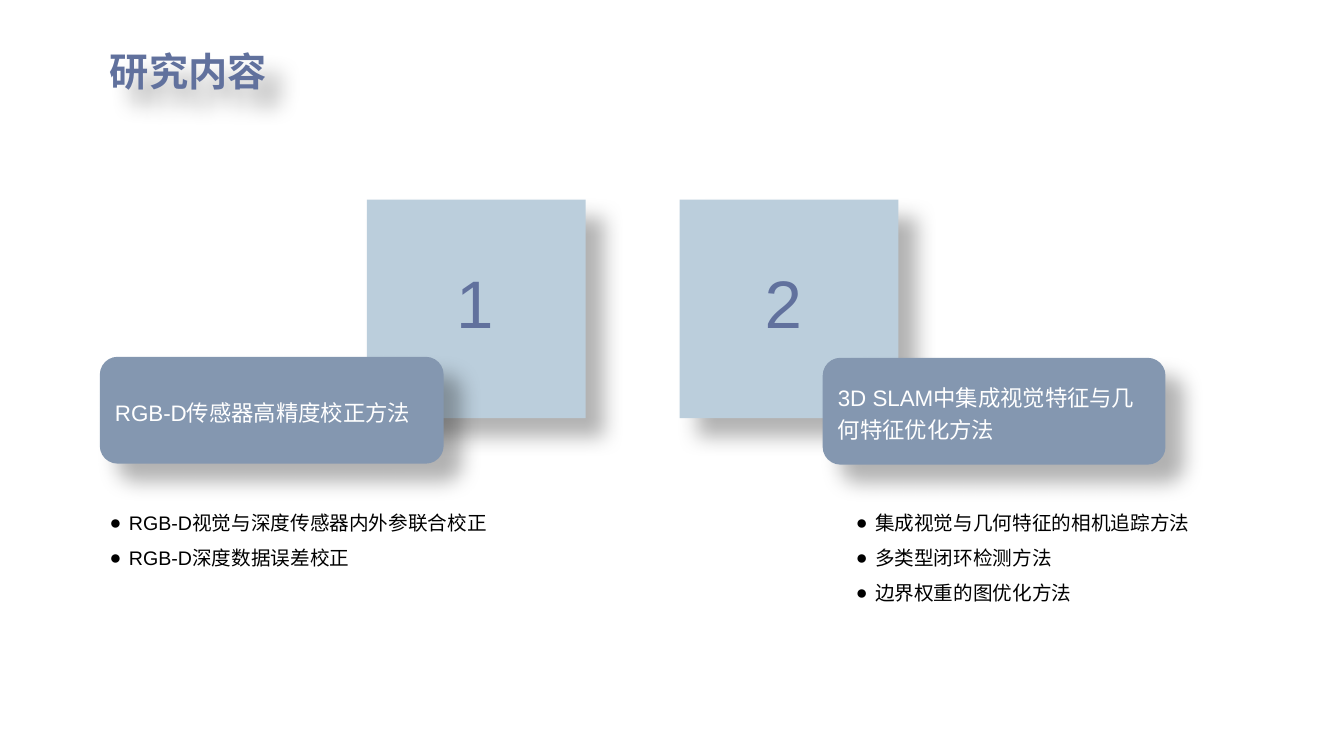
import lxml.etree
import pptx
import pptx.dml.color
import pptx.enum.shapes
import pptx.enum.text
import pptx.oxml.ns
import pptx.util

PX = 9144
THEME = {
    "font": "Arial",
    "title": (28, "61719D"),
    "number": (48, "61719D"),
    "label": (16, "FFFFFF"),
    "body": (14, "000000"),
    "square": "BBCEDC",
    "banner": "8497B0",
    "shadow": "000000",
}
SHAPE = pptx.enum.shapes.MSO_SHAPE
ALIGN = pptx.enum.text.PP_ALIGN
ANCHOR = pptx.enum.text.MSO_ANCHOR
AUTO = pptx.enum.text.MSO_AUTO_SIZE
qn = pptx.oxml.ns.qn


def add_shadow(sp):
    effects = lxml.etree.SubElement(sp._element.spPr, qn("a:effectLst"))
    outer = lxml.etree.SubElement(
        effects, qn("a:outerShdw"), blurRad=str(15 * 12700), dist=str(18 * 12700),
        dir=str(45 * 60000), algn="tl", rotWithShape="0")
    color = lxml.etree.SubElement(outer, qn("a:srgbClr"), val=THEME["shadow"])
    lxml.etree.SubElement(color, qn("a:alpha"), val="30000")


def add_text(p, text, style, align=ALIGN.LEFT, spacing=1.0, bold=False):
    p.alignment = align
    p.line_spacing = spacing
    r = p.add_run()
    r.text = text
    size, color = THEME[style]
    r.font.name = THEME["font"]
    r.font.size = pptx.util.Pt(size)
    r.font.bold = bold
    r.font.color.rgb = pptx.dml.color.RGBColor.from_string(color)


prs = pptx.Presentation()
prs.slide_width = 1333 * PX
prs.slide_height = 750 * PX
s = prs.slides.add_slide(prs.slide_layouts[5])

title = s.shapes.title
title.left, title.top, title.width, title.height = 99 * PX, 42 * PX, 177 * PX, 57 * PX
tf = title.text_frame
tf.word_wrap = False
tf.auto_size = AUTO.SHAPE_TO_FIT_TEXT
tf.vertical_anchor = ANCHOR.TOP
add_text(tf.paragraphs[0], "研究内容", "title", bold=True)
add_shadow(title)

topics = [
    {
        "number": "1", "square": 364, "number_left": 442,
        "banner": (99, 354, 341, 106), "label": "RGB-D传感器高精度校正方法",
        "list": (99, 490, 400, 77),
        "points": ["RGB-D视觉与深度传感器内外参联合校正", "RGB-D深度数据误差校正"],
    },
    {
        "number": "2", "square": 674, "number_left": 748,
        "banner": (816, 355, 340, 106), "label": "3D SLAM中集成视觉特征与几何特征优化方法",
        "list": (839, 490, 379, 112),
        "points": ["集成视觉与几何特征的相机追踪方法", "多类型闭环检测方法", "边界权重的图优化方法"],
    },
]

for topic in topics:
    panels = [
        (SHAPE.RECTANGLE, (topic["square"], 198, 217, 217), "square"),
        (SHAPE.ROUNDED_RECTANGLE, topic["banner"], "banner"),
    ]
    for kind, box, fill in panels:
        sp = s.shapes.add_shape(kind, *[v * PX for v in box])
        sp.fill.solid()
        sp.fill.fore_color.rgb = pptx.dml.color.RGBColor.from_string(THEME[fill])
        sp.line.fill.background()
        add_shadow(sp)

    tf = sp.text_frame
    tf.word_wrap = True
    tf.vertical_anchor = ANCHOR.MIDDLE
    add_text(tf.paragraphs[0], topic["label"], "label", spacing=1.2)

    number = s.shapes.add_textbox(topic["number_left"] * PX, 254 * PX, 58 * PX, 91 * PX)
    tf = number.text_frame
    tf.word_wrap = False
    tf.auto_size = AUTO.SHAPE_TO_FIT_TEXT
    add_text(tf.paragraphs[0], topic["number"], "number", ALIGN.CENTER)

    points = s.shapes.add_textbox(*[v * PX for v in topic["list"]])
    tf = points.text_frame
    tf.word_wrap = True
    tf.auto_size = AUTO.SHAPE_TO_FIT_TEXT
    for i, point in enumerate(topic["points"]):
        p = tf.add_paragraph() if i else tf.paragraphs[0]
        pPr = p._p.get_or_add_pPr()
        pPr.set("marL", str(19 * PX))
        pPr.set("indent", str(-19 * PX))
        lxml.etree.SubElement(pPr, qn("a:buFont"), typeface=THEME["font"])
        lxml.etree.SubElement(pPr, qn("a:buChar"), char="●")
        add_text(p, point, "body", spacing=1.5)

prs.save("out.pptx")
